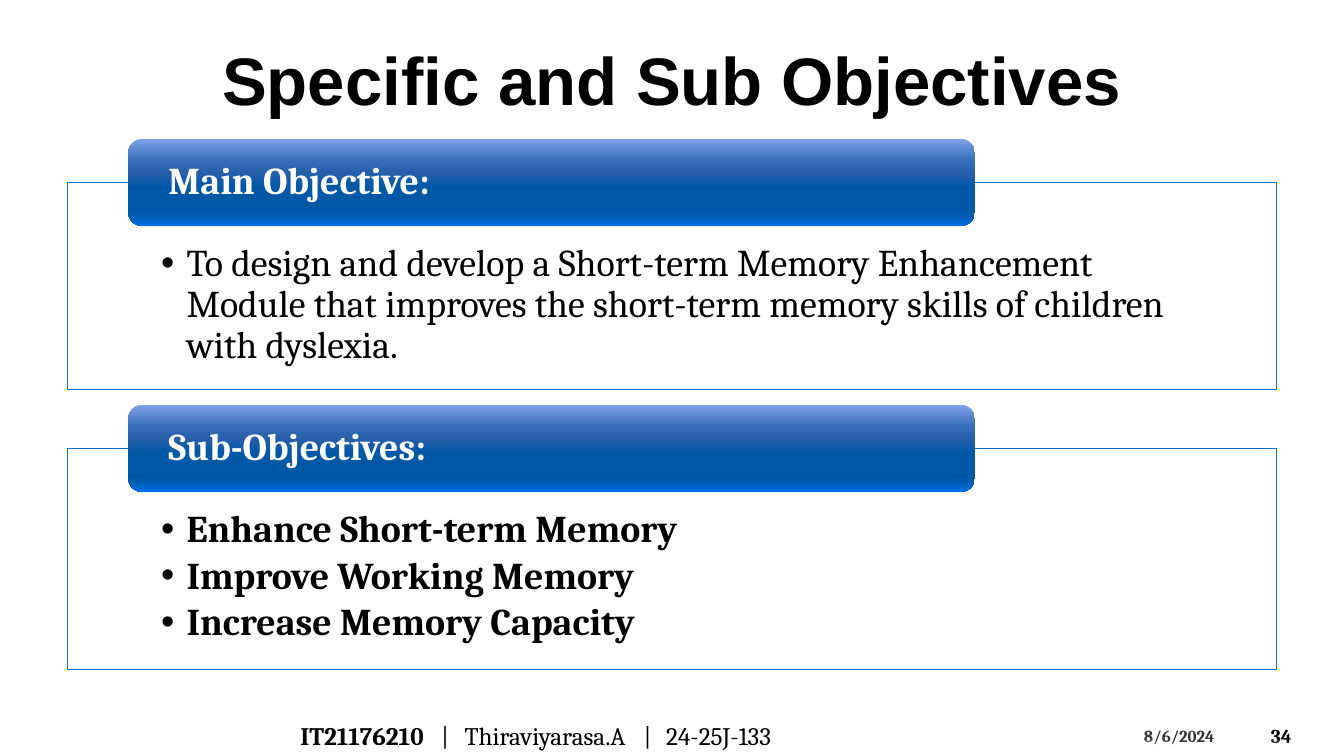
from lxml import etree
from pptx import Presentation
from pptx.dml.color import RGBColor
from pptx.enum.shapes import MSO_SHAPE
from pptx.enum.text import MSO_ANCHOR, MSO_AUTO_SIZE, PP_ALIGN
from pptx.oxml.ns import qn
from pptx.util import Cm, Pt

TRIANGLE, ROUNDED = MSO_SHAPE.ISOSCELES_TRIANGLE, MSO_SHAPE.ROUNDED_RECTANGLE
TOP, MIDDLE, BOTTOM = MSO_ANCHOR.TOP, MSO_ANCHOR.MIDDLE, MSO_ANCHOR.BOTTOM
LEFT, CENTER = PP_ALIGN.LEFT, PP_ALIGN.CENTER
TWO_CONTENT = 3
PAGE_WIDTH, PAGE_HEIGHT = 33.87, 19.05


def color(value):
    return RGBColor.from_string(value)


class ObjectivesPage:
    serif, sans = "Cambria", "Arial"
    black, white, blue = "000000", "FFFFFF", "0F6FC6"
    sheen = {0: "7FA1E9", 25: "376EB9", 38: "285FAA", 55: "0058A7",
             80: "0057A6", 88: "005BAE", 100: "0070EB"}
    frame_left, frame_width = 1.7, 30.48
    tab_height = 2.2

    def __init__(self, deck):
        self.page = deck.slides.add_slide(deck.slide_layouts[TWO_CONTENT])

    def place(self, shape, left, top, width, height):
        shape.left, shape.top = Cm(left), Cm(top)
        shape.width, shape.height = Cm(width), Cm(height)

    def frame_text(self, shape, anchor, margins=(0.25, 0.13, 0.25, 0.13)):
        frame = shape.text_frame
        frame.word_wrap = True
        frame.auto_size = MSO_AUTO_SIZE.NONE
        frame.vertical_anchor = anchor
        (frame.margin_left, frame.margin_top,
         frame.margin_right, frame.margin_bottom) = map(Cm, margins)
        return frame

    def style(self, para, size, bold=None, font=serif, ink=black, align=LEFT):
        para.alignment = align
        para.font.name, para.font.size = font, Pt(size)
        para.font.bold = bold
        para.font.color.rgb = color(ink)

    def title(self, text):
        box = self.page.shapes.title
        self.place(box, self.frame_left, 0.76, self.frame_width, 4.37)
        frame = self.frame_text(box, BOTTOM, (0.25, 0.13, 0.25, 2.13))
        frame.text = text
        self.style(frame.paragraphs[0], 48, True, self.sans, align=CENTER)

    def label(self, text, left, top, width, height, size, anchor):
        box = self.page.shapes.add_textbox(Cm(left), Cm(top), Cm(width), Cm(height))
        frame = self.frame_text(box, anchor)
        frame.text = text
        self.style(frame.paragraphs[0], size, True)

    def wedge(self, top, peak):
        shape = self.page.shapes.add_shape(
            TRIANGLE, 0, Cm(top), Cm(PAGE_WIDTH), Cm(PAGE_HEIGHT - top))
        shape.shadow.inherit = False
        shape.adjustments[0] = peak
        shape.line.fill.background()
        shape.fill.solid()
        shape.fill.fore_color.rgb = color(self.white)
        tint = shape._element.spPr.find(".//" + qn("a:srgbClr"))
        etree.SubElement(tint, qn("a:alpha"), val="20000")

    def list_panel(self, index, top, height, items, bold):
        panel = self.page.placeholders[index]
        self.place(panel, self.frame_left, top, self.frame_width, height)
        panel.fill.solid()
        panel.fill.fore_color.rgb = color(self.white)
        panel.line.color.rgb = color(self.blue)
        panel.line.width = Pt(0.75)
        frame = self.frame_text(panel, TOP, (2.36, 1.55, 2.36, 0.53))
        frame.text = "\n".join(items)
        for para in frame.paragraphs:
            para.line_spacing = 0.9
            para.space_before, para.space_after = Pt(0), Pt(4)
            props = para._p.get_or_add_pPr()
            props.set("marL", str(Cm(0.64)))
            props.set("indent", str(Cm(-0.64)))
            etree.SubElement(props, qn("a:buFont"), typeface=self.sans)
            etree.SubElement(props, qn("a:buChar"), char="•")
            self.style(para, 27, bold)

    def heading_tab(self, text, panel_top):
        tab = self.page.shapes.add_shape(
            ROUNDED, Cm(3.23), Cm(panel_top - self.tab_height / 2),
            Cm(21.34), Cm(self.tab_height))
        tab.shadow.inherit = False
        tab.line.fill.background()
        tab.fill.gradient()
        tab.fill.gradient_angle = 270
        stops = tab._element.spPr.find(".//" + qn("a:gsLst"))
        for stop in list(stops):
            stops.remove(stop)
        for percent, value in self.sheen.items():
            stop = etree.SubElement(stops, qn("a:gs"), pos=str(percent * 1000))
            etree.SubElement(stop, qn("a:srgbClr"), val=value)
        frame = self.frame_text(tab, MIDDLE, (0.91, 0, 0.91, 0))
        frame.text = text
        para = frame.paragraphs[0]
        para.line_spacing = 0.9
        self.style(para, 27, True, ink=self.white)

    def footer(self, lead, parts, stops):
        box = self.page.shapes.add_textbox(Cm(7.32), Cm(18.03), Cm(18.92), Cm(1.02))
        para = self.frame_text(box, MIDDLE).paragraphs[0]
        tabs = etree.SubElement(para._p.get_or_add_pPr(), qn("a:tabLst"))
        for stop in stops:
            etree.SubElement(tabs, qn("a:tab"), pos=str(Cm(stop)), algn="l")
        self.style(para, 18)
        span = para.add_run()
        span.text, span.font.bold = lead, True
        para.add_run().text = "".join("\t" + part for part in parts)


def main():
    deck = Presentation()
    deck.slide_width, deck.slide_height = Cm(PAGE_WIDTH), Cm(PAGE_HEIGHT)
    page = ObjectivesPage(deck)

    # Page number and date beneath the pale wedges
    page.label("34", 31.78, 18.03, 1.88, 1.02, 14, MIDDLE)
    page.label("8/6/2024", 28.58, 18.16, 2.97, 0.76, 12, TOP)
    for top, peak in ((17.8, 0.854), (18.01, 0.628), (18.54, 0.394)):
        page.wedge(top, peak)

    page.title("Specific and Sub Objectives")

    # Objective panels with their heading tabs
    panels = (
        ("Main Objective:", 4.6, 5.21, False,
         ["To design and develop a Short-term Memory Enhancement Module that "
          "improves the short-term memory skills of children with dyslexia."]),
        ("Sub-Objectives:", 11.3, 5.56, True,
         ["Enhance Short-term Memory", "Improve Working Memory",
          "Increase Memory Capacity"]),
    )
    for index, (heading, top, height, bold, items) in enumerate(panels, start=1):
        page.list_panel(index, top, height, items, bold)
        page.heading_tab(heading, top)

    # Author line
    page.footer("IT21176210", ["|", "Thiraviyarasa.A", "|", "24-25J-133"],
                (3.55, 4.14, 8.65, 9.22))
    deck.save("out.pptx")


if __name__ == "__main__":
    main()
